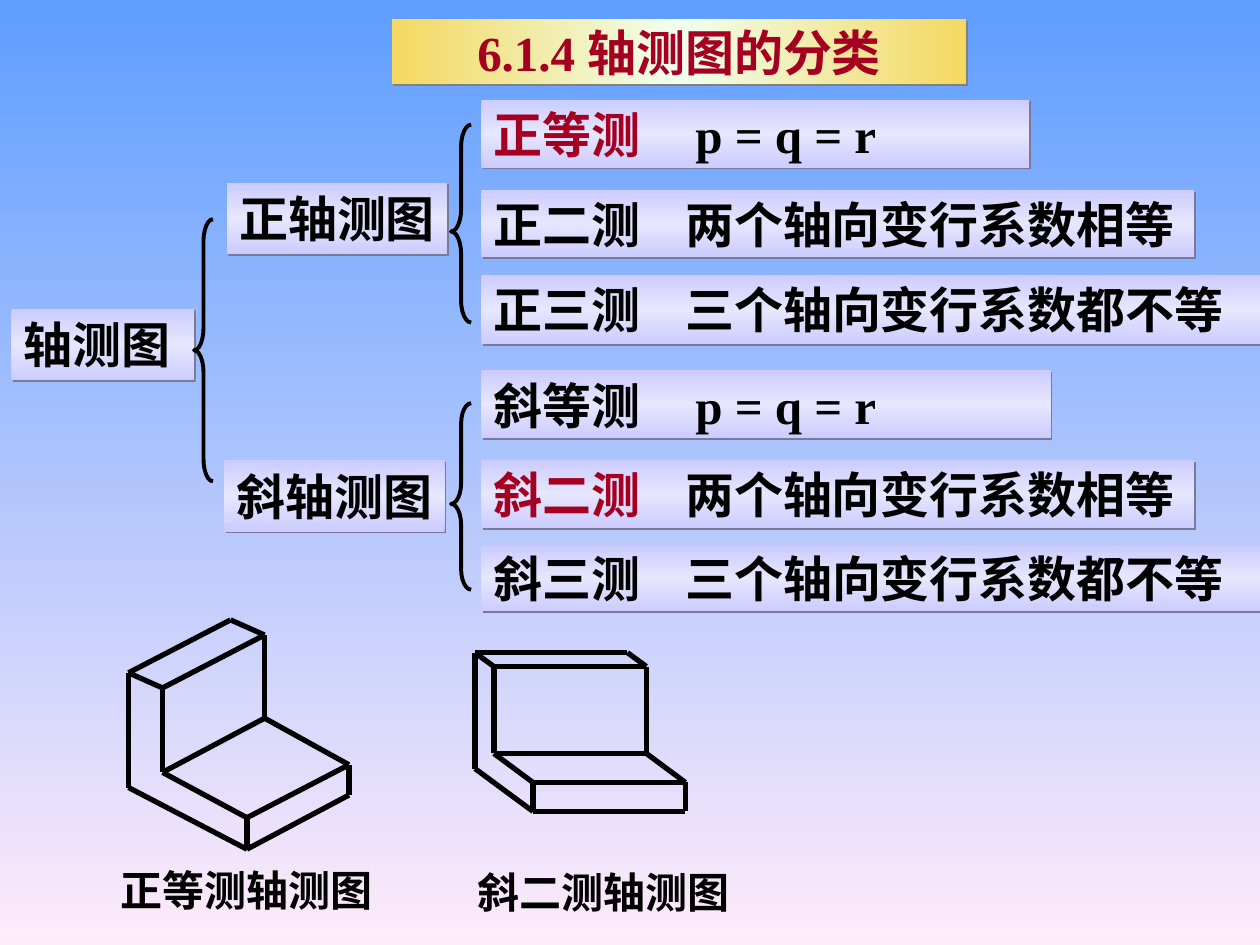
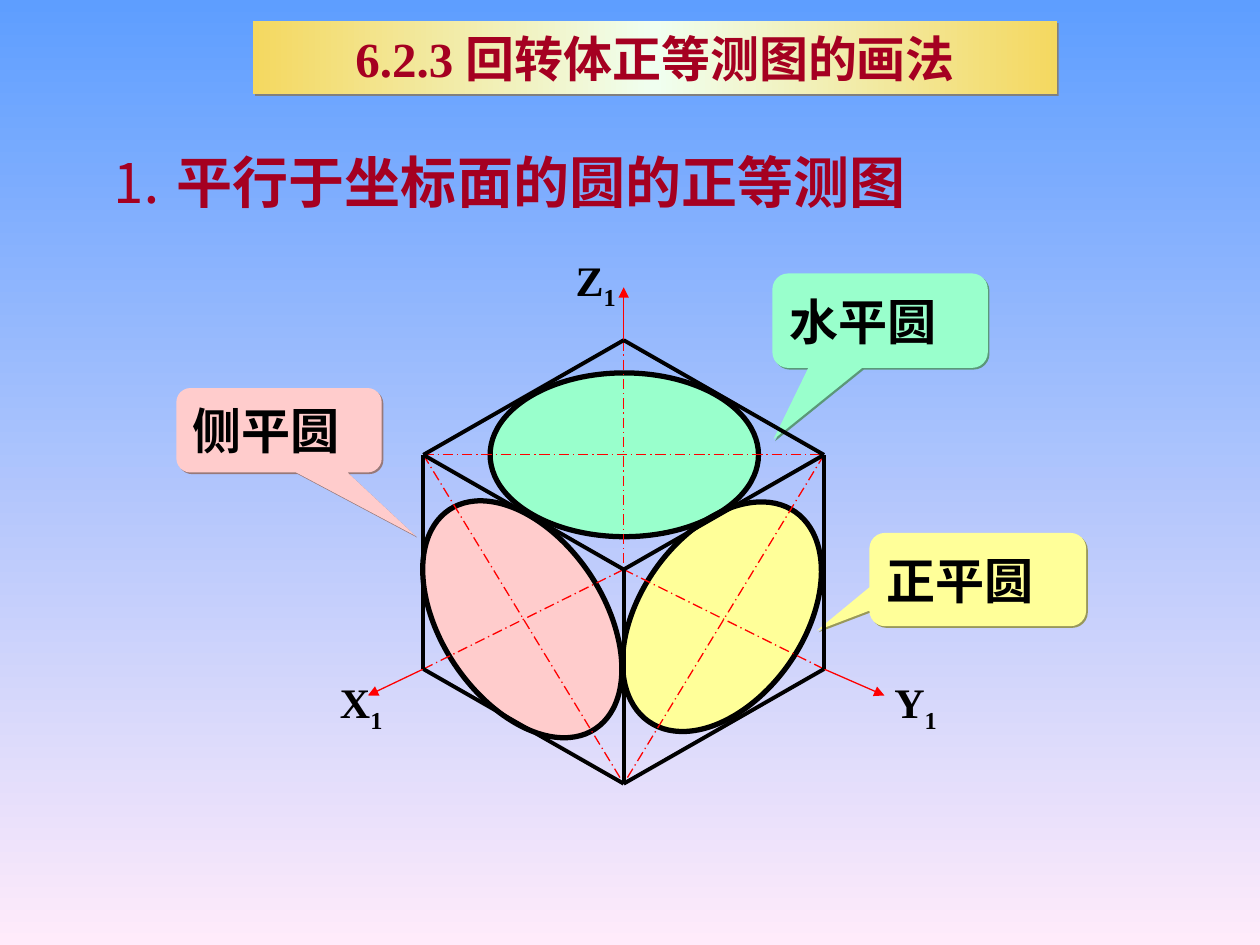
from lxml.etree import SubElement
from pptx import Presentation
from pptx.dml.color import RGBColor as RGB
from pptx.enum.dml import MSO_LINE
from pptx.enum.shapes import MSO_CONNECTOR, MSO_SHAPE as SHAPE
from pptx.enum.text import MSO_ANCHOR as ANCHOR, MSO_AUTO_SIZE as AUTO, PP_ALIGN as ALIGN
from pptx.oxml.ns import qn
from pptx.util import Pt

PX = 9144  # 100 px to the inch
LATIN, CJK = "Times New Roman", "Noto Sans CJK SC"
COLORS = {
    "sky": "5E9EFF", "blush": "FFEBFA", "black": "000000", "crimson": "A50021",
    "lilac": "CCCCFF", "pale lilac": "E6E6FE", "lilac shade": "797998",
    "gold": "F4D860", "ivory": "F0FFF0", "gold shade": "808080",
    "mint": "99FFCC", "mint shade": "5B9879", "yellow": "FFFF99", "yellow shade": "98985B",
    "pink": "FFCCCC", "pink shade": "987979", "red": "FF0000",
}


def rgb(name):
    return RGB.from_string(COLORS[name])


def emu(*lengths):
    return [n * PX for n in lengths]


def write(sp, runs, size=28, color="black", font=LATIN, bold=True, align=ALIGN.LEFT,
          anchor=ANCHOR.MIDDLE, wrap=False, grow=False, tab=None):
    """Fill a shape with runs: a string, or (string, overrides) pairs."""
    tf = sp.text_frame
    tf.word_wrap, tf.vertical_anchor = wrap, anchor
    tf.auto_size = AUTO.SHAPE_TO_FIT_TEXT if grow else AUTO.NONE
    p = tf.paragraphs[0]
    p.alignment = align
    if tab:
        tabs = SubElement(p._p.get_or_add_pPr(), qn("a:tabLst"))
        SubElement(tabs, qn("a:tab"), pos=str(tab * PX), algn="l")
    for words, own in [(runs, {})] if isinstance(runs, str) else runs:
        r = p.add_run()
        r.text = words
        f = r.font
        f.size, f.bold = Pt(size), own.get("bold", bold)
        f.name = own.get("font", font)
        f.color.rgb = rgb(own.get("color", color))
        SubElement(r._r.get_or_add_rPr(), qn("a:ea"), typeface=CJK)
        if "baseline" in own:
            r._r.get_or_add_rPr().set("baseline", str(own["baseline"] * 1000))


def gradient(fill, element, names, angle):
    fill.gradient()
    fill.gradient_angle = angle
    stops = next(element.iter(qn("a:gsLst")))
    stops.clear()
    for i, name in enumerate(names):
        gs = SubElement(stops, qn("a:gs"), pos=str(100000 * i // (len(names) - 1)))
        SubElement(gs, qn("a:srgbClr"), val=COLORS[name])


class Deck:
    def __init__(self):
        self.prs = Presentation()
        self.prs.slide_width, self.prs.slide_height = emu(1000, 750)

    def new_slide(self, number, title, box):
        self.slide = s = self.prs.slides.add_slide(self.prs.slide_layouts[6])
        gradient(s.background.fill, s._element, ["sky", "blush"], 270)
        sp = self.panel(box, ["gold", "ivory", "gold"], 0)
        write(sp, [(number + " ", {}), (title, {"font": CJK})],
              color="crimson", align=ALIGN.CENTER, wrap=True)

    def shape(self, kind, box, fill=None, line=None, adj=(), rotation=0):
        sp = self.slide.shapes.add_shape(kind, *emu(*box))
        sp.shadow.inherit = False
        sp.rotation = rotation
        for i, value in enumerate(adj):
            sp.adjustments[i] = value
        if fill:
            sp.fill.solid()
            sp.fill.fore_color.rgb = rgb(fill)
        else:
            sp.fill.background()
        if line:
            sp.line.color.rgb, sp.line.width = rgb("black"), Pt(line)
        else:
            sp.line.fill.background()
        return sp

    def cast_shadow(self, sp, name):
        effects = sp._element.spPr.find(qn("a:effectLst"))
        shadow = SubElement(effects, qn("a:outerShdw"), dist=str(Pt(1.4)), dir="2700000",
                            algn="ctr", rotWithShape="0")
        SubElement(shadow, qn("a:srgbClr"), val=COLORS[name])

    def panel(self, box, names, angle=270):
        sp = self.shape(SHAPE.RECTANGLE, box)
        gradient(sp.fill, sp._element, names, angle)
        self.cast_shadow(sp, names[0] + " shade")
        return sp

    def node(self, box, runs, **fmt):
        write(self.panel(box, ["lilac", "pale lilac", "lilac"]), runs, **fmt)

    def brace(self, box, radius, tip):
        self.shape(SHAPE.LEFT_BRACE, box, line=2.25, adj=(radius, tip))

    def callout(self, box, words, fill, tip):
        sp = self.shape(SHAPE.ROUNDED_RECTANGULAR_CALLOUT, box, fill, adj=(*tip, 0.167))
        self.cast_shadow(sp, fill + " shade")
        write(sp, words)

    def label(self, box, runs, **fmt):
        sp = self.slide.shapes.add_textbox(*emu(*box))
        write(sp, runs, **{"size": 24, "anchor": ANCHOR.TOP, "grow": True, **fmt})

    def line(self, start, end, color="black", width=3, dash=None, arrow=False):
        c = self.slide.shapes.add_connector(MSO_CONNECTOR.STRAIGHT, *emu(*start, *end))
        c.line.color.rgb, c.line.width = rgb(color), Pt(width)
        if dash:
            c.line.dash_style = dash
        spPr = c._element.spPr
        if arrow:
            SubElement(spPr.find(qn("a:ln")), qn("a:tailEnd"), type="triangle")
        SubElement(spPr, qn("a:effectLst"))

    def edges(self, points, pairs, **style):
        """Join points named by letters, one letter pair per edge."""
        for a, b in pairs.split():
            self.line(points[a], points[b], **style)


def classification(d):
    d.new_slide("6.1.4", "轴测图的分类", (311, 15, 456, 52))

    # Tree: root, two branches, three kinds each
    for box, words in [((9, 245, 145, 57), "轴测图"),
                       ((180, 145, 175, 57), "正轴测图"),
                       ((178, 365, 175, 57), "斜轴测图")]:
        d.node(box, words, anchor=ANCHOR.TOP, grow=True)
    d.brace((154, 174, 15, 208), 1.16, 0.5)
    d.brace((358, 99, 16, 157), 1.1, 0.54)
    d.brace((358, 320, 16, 148), 1.03, 0.54)

    equal, two, three = "p = q = r", "两个轴向变行系数相等", "三个轴向变行系数都不等"
    for top, width, height, kind, rule, color in [
            (79, 435, 54, "正等测", equal, "crimson"),
            (151, 566, 53, "正二测", two, "black"),
            (218, 618, 55, "正三测", three, "black"),
            (294, 452, 54, "斜等测", equal, "black"),
            (365, 566, 54, "斜二测", two, "crimson"),
            (433, 618, 52, "斜三测", three, "black")]:
        d.node((382, top, width, height), [(kind, {"color": color}), ("\t" + rule, {})],
               wrap=True, tab=160 if rule == equal else 152)

    # Isometric bracket
    isometric = dict(a=(183, 492), b=(102, 534), c=(129, 546), d=(210, 504), e=(102, 625),
                     f=(129, 613), g=(196, 674), h=(196, 649), i=(277, 607), j=(277, 631),
                     k=(210, 570))
    d.edges(isometric, "ab bc ad cd be cf eg fh hg hi gj ji ik dk fk")
    d.label((86, 681, 220, 50), "正等测轴测图")

    # Oblique bracket
    oblique = dict(a=(377, 518), b=(377, 610), c=(423, 644), d=(498, 518), e=(392, 529),
                   f=(392, 598), g=(513, 529), h=(513, 598), i=(544, 644), j=(423, 621),
                   k=(544, 621))
    d.edges(oblique, "ab bc ad ae ef eg dg gh ci cj jk jf fh hk ki")
    d.label((369, 683, 220, 50), "斜二测轴测图")


def circles(d):
    d.new_slide("6.2.3", "回转体正等测图的画法", (201, 17, 638, 58))
    d.label((76, 112, 732, 64), [("⒈", {"bold": False}), (" 平行于坐标面的圆的正等测图", {})],
            size=32, color="crimson", font=CJK, wrap=True)

    # Circles on the three faces
    for box, fill, rotation in [((389, 296, 213, 130), "mint", 0),
                                ((350, 387, 129, 209), "pink", 326.3),
                                ((508, 388, 130, 203), "yellow", 35)]:
        d.shape(SHAPE.OVAL, box, fill, line=3, rotation=rotation)

    # Cube: top, left, right, origin, x and y corners, bottom
    cube = dict(t=(495, 270), l=(336, 361), r=(654, 361), o=(495, 452),
                x=(336, 531), y=(654, 531), b=(495, 622))
    d.edges(cube, "lr lb xo rb oy to", color="red", width=0.75, dash=MSO_LINE.LONG_DASH_DOT)

    # Callouts
    d.callout((613, 217, 171, 75), "水平圆", "mint", (-0.495, 1.257))
    d.callout((690, 423, 172, 74), "正平圆", "yellow", (-0.742, 0.547))
    d.callout((140, 308, 163, 67), "侧平圆", "pink", (0.664, 1.25))

    # Axes and cube edges
    for corner, tip, name, box in [("t", (495, 228), "Z", (447, 197, 56, 56)),
                                   ("x", (292, 552), "X", (260, 532, 54, 56)),
                                   ("y", (702, 552), "Y", (700, 532, 54, 56))]:
        d.line(cube[corner], tip, color="red", width=0.75, arrow=True)
        d.label(box, [(name, {}), ("1", {"baseline": -25})])
    d.edges(cube, "ob tr ry tl lo or by xb lx", width=2.25)


def main():
    d = Deck()
    classification(d)
    circles(d)
    d.prs.save("out.pptx")


if __name__ == "__main__":
    main()
